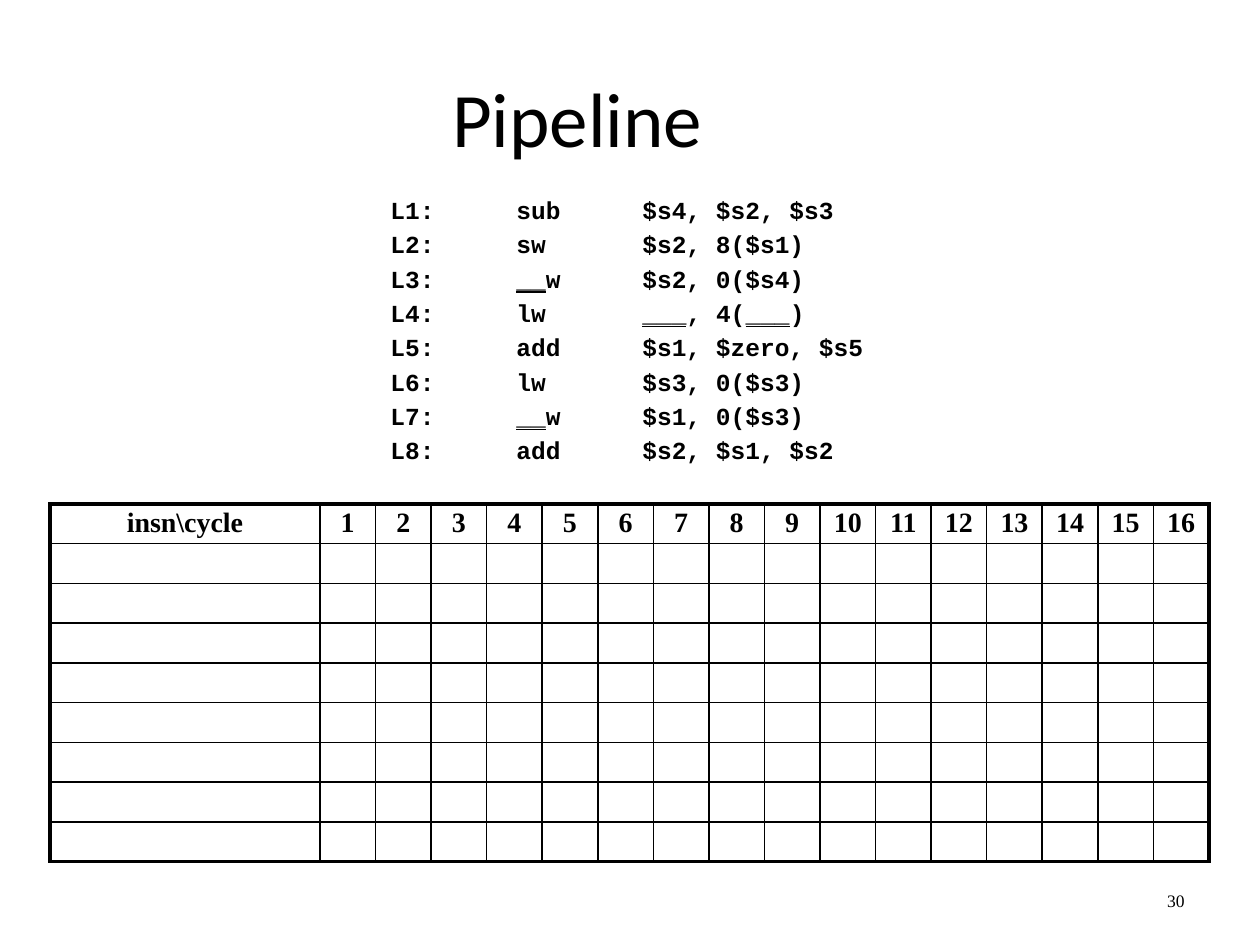
from dataclasses import dataclass
from itertools import groupby

from lxml import etree
from pptx import Presentation
from pptx import util as u
from pptx.dml.color import RGBColor
from pptx.enum import text
from pptx.oxml.ns import qn

PX = u.Inches(1) / 126


@dataclass(frozen=True)
class Theme:
    ink: str = "000000"
    paper: str = "FFFFFF"
    title_font: str = "Calibri"
    code_font: str = "Courier New"
    table_font: str = "Times New Roman"
    title_size: float = 44
    code_size: float = 14
    table_size: float = 16
    number_size: float = 10
    code_gap: float = 2.8
    outer_line: float = 2.25
    inner_line: float = 1


THEME = Theme()
CYCLES = 16
CODE_TABS = (126, 252)
INSTRUCTIONS = [
    "sub\t$s4, $s2, $s3",
    "sw\t$s2, 8($s1)",
    "__w\t$s2, 0($s4)",
    "lw\t___, 4(___)",
    "add\t$s1, $zero, $s5",
    "lw\t$s3, 0($s3)",
    "__w\t$s1, 0($s3)",
    "add\t$s2, $s1, $s2",
]


def px(length):
    return u.Emu(round(length * PX))


def style(paragraph, font, size, bold=False, align=text.PP_ALIGN.LEFT):
    paragraph.alignment = align
    paragraph.font.name = font
    paragraph.font.size = u.Pt(size)
    paragraph.font.bold = bold
    paragraph.font.color.rgb = RGBColor.from_string(THEME.ink)


def add_box(slide, left, top, width, height, anchor=text.MSO_ANCHOR.MIDDLE):
    box = slide.shapes.add_textbox(px(left), px(top), px(width), px(height))
    frame = box.text_frame
    frame.word_wrap = True
    frame.vertical_anchor = anchor
    return frame


def add_label(slide, words, bounds, font, size, align):
    paragraph = add_box(slide, *bounds).paragraphs[0]
    paragraph.text = words
    style(paragraph, font, size, align=align)


def set_tabs(paragraph, positions):
    tabs = etree.SubElement(paragraph._p.get_or_add_pPr(), qn("a:tabLst"))
    for position in positions:
        etree.SubElement(tabs, qn("a:tab"), pos=str(px(position)), algn="l")


def add_code(slide, bounds):
    """List the labelled instructions, underlining the blanks to fill in."""
    frame = add_box(slide, *bounds, anchor=text.MSO_ANCHOR.TOP)
    for number, instruction in enumerate(INSTRUCTIONS, 1):
        if number == 1:
            paragraph = frame.paragraphs[0]
        else:
            paragraph = frame.add_paragraph()
            paragraph.space_before = u.Pt(THEME.code_gap)
        set_tabs(paragraph, CODE_TABS)
        style(paragraph, THEME.code_font, THEME.code_size, bold=True)
        line = f"L{number}:\t{instruction}"
        for is_blank, letters in groupby(line, lambda letter: letter == "_"):
            run = paragraph.add_run()
            run.text = "".join(letters)
            if is_blank:
                run.font.underline = True


def set_borders(cell, outer_sides):
    properties = cell._tc.get_or_add_tcPr()
    for side in "LRTB":
        width = THEME.outer_line if side in outer_sides else THEME.inner_line
        line = etree.SubElement(properties, qn(f"a:ln{side}"), w=str(u.Pt(width)))
        fill = etree.SubElement(line, qn("a:solidFill"))
        etree.SubElement(fill, qn("a:srgbClr"), val=THEME.ink)


def add_cycle_table(slide, left, top, label_width, cycles_width, height):
    row_count, column_count = len(INSTRUCTIONS) + 1, CYCLES + 1
    table = slide.shapes.add_table(
        row_count, column_count,
        px(left), px(top), px(label_width + cycles_width), px(height),
    ).table
    table.first_row = table.horz_banding = False
    for row in table.rows:
        row.height = px(height / row_count)
    for index, column in enumerate(table.columns):
        column.width = px(cycles_width / CYCLES if index else label_width)

    headings = ["insn\\cycle", *map(str, range(1, column_count))]
    for row in range(row_count):
        for column in range(column_count):
            cell = table.cell(row, column)
            edges = {"L": column == 0, "R": column == CYCLES,
                     "T": row == 0, "B": row == row_count - 1}
            set_borders(cell, [side for side, outer in edges.items() if outer])
            cell.fill.solid()
            cell.fill.fore_color.rgb = RGBColor.from_string(THEME.paper)
            cell.margin_top = cell.margin_bottom = 0
            cell.vertical_anchor = text.MSO_ANCHOR.MIDDLE
            if row == 0:
                paragraph = cell.text_frame.paragraphs[0]
                paragraph.text = headings[column]
                paragraph.line_spacing = 0.9
                style(paragraph, THEME.table_font, THEME.table_size,
                      bold=True, align=text.PP_ALIGN.CENTER)


def main():
    presentation = Presentation()
    presentation.slide_width, presentation.slide_height = px(1260), px(945)
    slide = presentation.slides.add_slide(presentation.slide_layouts[6])
    add_label(slide, "Pipeline", (63, 38, 1029, 157),
              THEME.title_font, THEME.title_size, text.PP_ALIGN.CENTER)
    add_label(slide, "30", (1050, 876, 147, 50),
              THEME.table_font, THEME.number_size, text.PP_ALIGN.RIGHT)
    add_code(slide, (378, 189, 504, 302))
    add_cycle_table(slide, left=50, top=504, label_width=270,
                    cycles_width=889, height=358)
    presentation.save("out.pptx")


if __name__ == "__main__":
    main()
